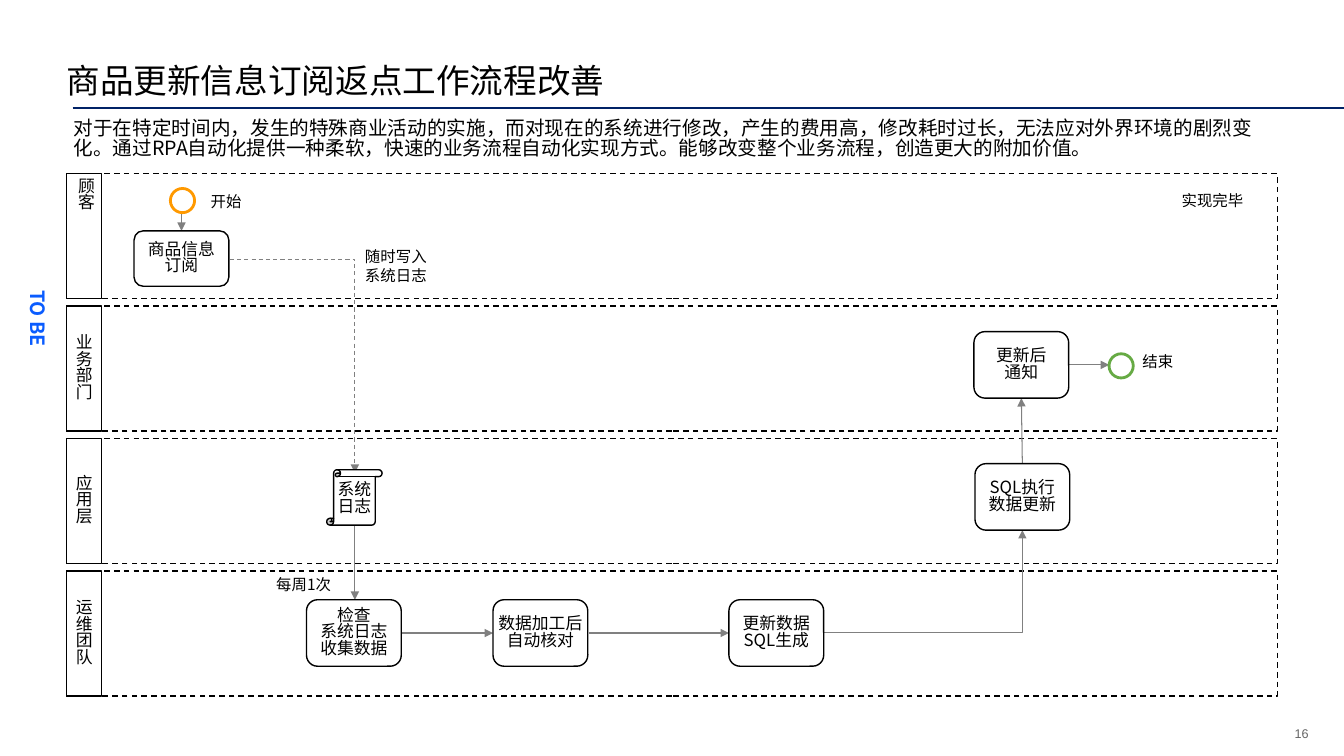
from pptx import Presentation
from pptx.dml.color import RGBColor
from pptx.enum.dml import MSO_LINE
from pptx.enum.shapes import MSO_CONNECTOR, MSO_SHAPE
from pptx.enum.text import MSO_ANCHOR, PP_ALIGN
from pptx.oxml.ns import qn
from pptx.util import Inches, Pt
from lxml import etree

BLACK = RGBColor(0x00, 0x00, 0x00)
WHITE = RGBColor(0xFF, 0xFF, 0xFF)
NAVY = RGBColor(0x00, 0x22, 0x66)
BLUE = RGBColor(0x0A, 0x5C, 0xFF)
ORANGE = RGBColor(0xFF, 0x99, 0x00)
GREEN = RGBColor(0x66, 0xAA, 0x44)
FLOW_GRAY = RGBColor(0x80, 0x80, 0x80)
NUMBER_GRAY = RGBColor(0x66, 0x66, 0x66)

SC, JP = "Noto Sans CJK SC", "Noto Sans CJK JP"
LEFT, CENTER, RIGHT = PP_ALIGN.LEFT, PP_ALIGN.CENTER, PP_ALIGN.RIGHT
TOP, MIDDLE, BOTTOM = MSO_ANCHOR.TOP, MSO_ANCHOR.MIDDLE, MSO_ANCHOR.BOTTOM
RECT, ROUNDED = MSO_SHAPE.RECTANGLE, MSO_SHAPE.ROUNDED_RECTANGLE
CIRCLE, SCROLL = MSO_SHAPE.OVAL, MSO_SHAPE.VERTICAL_SCROLL
STRAIGHT, ELBOW = MSO_CONNECTOR.STRAIGHT, MSO_CONNECTOR.ELBOW
DASH = MSO_LINE.DASH

LANE_LEFT, LANE_TOP, LANE_PITCH = 0.66, 1.72, 1.315
LANE_WIDTH, LANE_HEIGHT, LANE_HEAD = 12.01, 1.24, 0.35
LANES = [("顾客", True), ("业\n务\n部\n门", False),
         ("应\n用\n层", False), ("运\n维\n团\n队", False)]

STEPS = [
    ("商品信息\n订阅", 1.33, 2.29, 0.55),
    ("检查\n系统日志\n收集数据", 3.04, 5.95, 0.66),
    ("数据加工后\n自动核对", 4.89, 5.95, 0.66),
    ("更新数据\nSQL生成", 7.23, 5.95, 0.66),
    ("SQL执行\n数据更新", 9.67, 4.6, 0.66),
    ("更新后\n通知", 9.66, 3.29, 0.66),
]
ARROWS = [
    ((1.8, 2.11), (1.8, 2.29)),
    ((3.52, 5.21), (3.52, 5.95)),
    ((3.99, 6.28), (4.89, 6.28)),
    ((5.84, 6.28), (7.23, 6.28)),
    ((10.14, 4.6), (10.13, 3.95)),
    ((10.6, 3.62), (11, 3.62)),
]
LABELS = [
    ("随时写入\n系统日志", JP, (3.44, 2.4, 0.91, 0.55)),
    ("每周1次", JP, (2.56, 5.66, 0.91, 0.41)),
    ("开始", JP, (1.91, 1.86, 0.58, 0.27)),
    ("结束", JP, (11.15, 3.44, 0.58, 0.27)),
    ("实现完毕", SC, (11.54, 1.85, 1.24, 0.25)),
]
INTRO = ("对于在特定时间内，发生的特殊商业活动的实施，而对现在的系统进行修改，"
         "产生的费用高，修改耗时过长，无法应对外界环境的剧烈变化。"
         "通过RPA自动化提供一种柔软，快速的业务流程自动化实现方式。"
         "能够改变整个业务流程，创造更大的附加价值。")


def write(shape, text, *, size=12, font=SC, color=BLACK, bold=False, align=CENTER,
          anchor=MIDDLE, insets=(0.08, 0.04, 0.08, 0.04), wrap=False,
          indent=0, gap=0, spacing=0.83, vertical=False):
    frame = shape.text_frame
    frame.text = text
    frame.word_wrap = wrap
    frame.vertical_anchor = anchor
    (frame.margin_left, frame.margin_top,
     frame.margin_right, frame.margin_bottom) = map(Inches, insets)
    if vertical:
        frame._txBody.bodyPr.set("vert", "eaVert")
    for index, paragraph in enumerate(frame.paragraphs):
        paragraph.alignment = align
        paragraph.line_spacing = spacing
        paragraph.space_before = Pt(gap if index else 0)
        if indent:
            properties = paragraph._p.get_or_add_pPr()
            properties.set("marL", str(Inches(indent)))
            properties.set("indent", "0")
        for run in paragraph.runs:
            run.font.size = Pt(size)
            run.font.name = font
            run.font.bold = bold
            run.font.color.rgb = color
            east_asian = etree.SubElement(run._r.get_or_add_rPr(), qn("a:ea"))
            east_asian.set("typeface", font)


def add_box(slide, kind, bounds, line=BLACK, width=1, dash=None):
    box = slide.shapes.add_shape(kind, *map(Inches, bounds))
    box.shadow.inherit = False
    box.fill.solid()
    box.fill.fore_color.rgb = WHITE
    if line is None:
        box.line.fill.background()
    else:
        box.line.color.rgb = line
        box.line.width = Pt(width)
        box.line.dash_style = dash
    return box


def add_label(slide, text, bounds, **text_format):
    write(slide.shapes.add_textbox(*map(Inches, bounds)), text, **text_format)


def add_note(slide, text, bounds, **text_format):
    """Add an indented, left-aligned text that starts at the top of its box."""
    add_label(slide, text, bounds, align=LEFT, anchor=TOP, wrap=True, indent=0.1,
              gap=3, insets=(0.08, 0.08, 0.08, 0.05), **text_format)


def add_line(slide, start, end, color=FLOW_GRAY, width=0.75, dash=None,
             arrow=True, elbow=False):
    line = slide.shapes.add_connector(ELBOW if elbow else STRAIGHT,
                                      *map(Inches, start + end))
    line.line.color.rgb = color
    line.line.width = Pt(width)
    line.line.dash_style = dash
    properties = line._element.spPr
    if elbow:
        properties.find(qn("a:prstGeom")).set("prst", "bentConnector2")
    if arrow:
        head = etree.SubElement(properties.find(qn("a:ln")), qn("a:tailEnd"))
        head.set("type", "triangle")
    etree.SubElement(properties, qn("a:effectLst"))


def add_lane(slide, index, name, vertical):
    top = LANE_TOP + index * LANE_PITCH
    add_box(slide, RECT, (LANE_LEFT, top, LANE_WIDTH, LANE_HEIGHT), dash=DASH)
    head = add_box(slide, RECT, (LANE_LEFT, top, LANE_HEAD, LANE_HEIGHT))
    write(head, name, vertical=vertical)


def add_title(slide, text):
    title = slide.shapes.title
    title.left, title.top = Inches(0.66), Inches(-0.11)
    title.width, title.height = Inches(11.89), Inches(1.1)
    write(title, text, size=24, align=LEFT, anchor=BOTTOM, wrap=True,
          insets=(0, 0.05, 0.1, 0))


def main():
    deck = Presentation()
    deck.slide_width, deck.slide_height = Inches(13.33), Inches(7.5)
    slide = deck.slides.add_slide(deck.slide_layouts[5])

    add_title(slide, "商品更新信息订阅返点工作流程改善")
    add_line(slide, (0.72, 1.07), (13.33, 1.07), color=NAVY, width=1, arrow=False)
    add_note(slide, INTRO, (0.55, 1.11, 12.12, 0.76), size=14, font=JP)
    side_tag = add_box(slide, RECT, (0.19, 2.84, 0.35, 1.57), line=None)
    write(side_tag, "TO BE", size=14, color=BLUE, bold=True, vertical=True)

    for index, (name, vertical) in enumerate(LANES):
        add_lane(slide, index, name, vertical)

    add_line(slide, (2.28, 2.57), (3.52, 4.69), dash=DASH, elbow=True)
    add_line(slide, (8.17, 6.28), (10.14, 5.26), elbow=True)
    for start, end in ARROWS:
        add_line(slide, start, end)

    add_box(slide, CIRCLE, (1.69, 1.87, 0.24, 0.24), line=ORANGE, width=2)
    add_box(slide, CIRCLE, (11, 3.51, 0.24, 0.24), line=GREEN, width=2)
    for text, left, top, height in STEPS:
        write(add_box(slide, ROUNDED, (left, top, 0.94, height)), text)
    system_log = add_box(slide, SCROLL, (3.24, 4.66, 0.55, 0.55))
    write(system_log, "系统\n日志", font=JP)

    for text, font, bounds in LABELS:
        add_note(slide, text, bounds, size=11, font=font)
    add_label(slide, "16", (12.24, 7.19, 0.74, 0.17), size=9, font="Arial",
              color=NUMBER_GRAY, align=RIGHT, wrap=True, spacing=1,
              insets=(0.1, 0.05, 0, 0.05))
    deck.save("out.pptx")


if __name__ == "__main__":
    main()
